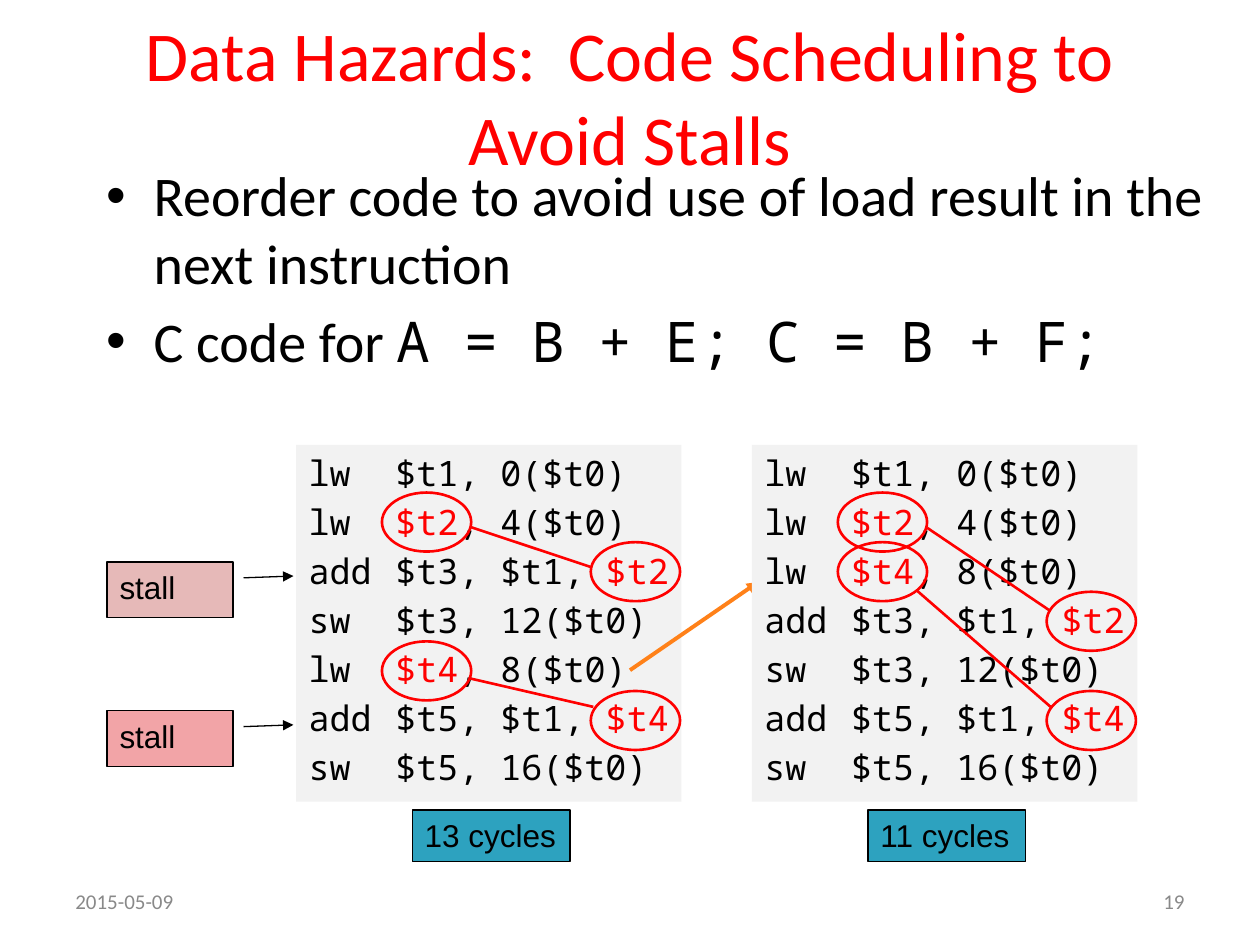
import pptx
import pptx.util
import pptx.dml.color
import pptx.enum.shapes
import pptx.enum.text
import lxml.etree
from dataclasses import dataclass

Cm = pptx.util.Cm
Pt = pptx.util.Pt
SHAPES = pptx.enum.shapes.MSO_SHAPE
ANCHOR = pptx.enum.text.MSO_ANCHOR
ALIGN = pptx.enum.text.PP_ALIGN
DRAWING = "http://schemas.openxmlformats.org/drawingml/2006/main"


@dataclass(frozen=True)
class Theme:
    red: str = "FF0000"
    black: str = "000000"
    grey: str = "898989"
    panel: str = "F2F2F2"
    cycles: str = "2DA2BF"
    orange: str = "FF8119"
    sans: str = "Calibri"
    label: str = "Arial"
    mono: str = "Noto Sans Mono"
    title_size: int = 40
    body_size: int = 32
    code_size: int = 20
    label_size: int = 18
    footer_size: int = 12


theme = Theme()

TITLE = "Data Hazards:  Code Scheduling to Avoid Stalls"
BULLETS = [
    [("Reorder code to avoid use of load result in the next instruction", theme.sans)],
    [("C code for ", theme.sans), ("A = B + E; C = B + F;", theme.mono)],
]
STALLS = [("stall", 2, "E6B9B8"), ("stall", 5, "F2A4A7")]
MOVED_LOAD = ((12.7, 13.51), (15.29, 11.73))
LISTINGS = [
    {
        "code": ["lw\t$t1, 0($t0)", "lw\t*$t2*, 4($t0)", "add\t$t3, $t1, *$t2*",
                 "sw\t$t3, 12($t0)", "lw\t*$t4*, 8($t0)", "add\t$t5, $t1, *$t4*",
                 "sw\t$t5, 16($t0)"],
        "links": [((9.47, 10.62), (11.91, 11.43)), ((9.45, 13.67), (11.96, 14.25))],
        "cycles": "13 cycles",
    },
    {
        "code": ["lw\t$t1, 0($t0)", "lw\t*$t2*, 4($t0)", "lw\t*$t4*, 8($t0)",
                 "add\t$t3, $t1, *$t2*", "sw\t$t3, 12($t0)", "add\t$t5, $t1, *$t4*",
                 "sw\t$t5, 16($t0)"],
        "links": [((18.69, 10.64), (21.18, 12.32)), ((18.49, 11.91), (21.18, 14.25))],
        "cycles": "11 cycles",
    },
]
FOOTERS = [("2015-05-09", 1.27, ALIGN.LEFT), ("19", 18.21, ALIGN.RIGHT)]

PANEL_LEFT, PANEL_TOP, PANEL_WIDTH, PANEL_HEIGHT = 5.97, 8.97, 7.77, 7.19
PANEL_STEP = 9.19
ROW_STEP = 1.0
RING_TOP, RING_WIDTH, RING_HEIGHT = 8.93, 1.8, 1.19
LOADED_X, USED_X = 1.73, 5.94
STALL_LEFT, STALL_TOP = 2.16, 9.33

deck = pptx.Presentation()
deck.slide_width, deck.slide_height = Cm(25.4), Cm(19.05)
slide = deck.slides.add_slide(deck.slide_layouts[6])


def rgb(value):
    return pptx.dml.color.RGBColor.from_string(value)


def child(parent, tag, **attributes):
    return lxml.etree.SubElement(parent, f"{{{DRAWING}}}{tag}", attributes)


def space_before(properties):
    child(child(properties, "spcBef"), "spcPct", val="20000")


def write(paragraph, text, font, size, color):
    run = paragraph.add_run()
    run.text = text
    run.font.name, run.font.size = font, Pt(size)
    run.font.color.rgb = rgb(color)


def text_box(box, anchor):
    frame = slide.shapes.add_textbox(*map(Cm, box)).text_frame
    frame.word_wrap = True
    frame.vertical_anchor = anchor
    return frame


def shape(kind, box, fill=None, line=None, width=0.75):
    item = slide.shapes.add_shape(kind, *map(Cm, box))
    item.shadow.inherit = False
    if fill:
        item.fill.solid()
        item.fill.fore_color.rgb = rgb(fill)
    else:
        item.fill.background()
    if line:
        item.line.color.rgb = rgb(line)
        item.line.width = Pt(width)
    else:
        item.line.fill.background()
    frame = item.text_frame
    frame.word_wrap = True
    frame.margin_right = 0
    frame.vertical_anchor = ANCHOR.TOP
    frame.paragraphs[0].alignment = ALIGN.LEFT
    return item


def arrowhead(item):
    child(item.line._get_or_add_ln(), "tailEnd", type="triangle")


def connect(start, end, color, width):
    line = slide.shapes.add_connector(
        pptx.enum.shapes.MSO_CONNECTOR.STRAIGHT, *map(Cm, start + end))
    line.line.color.rgb = rgb(color)
    line.line.width = Pt(width)
    child(line._element.spPr, "effectLst")
    return line


def label(item, text):
    write(item.text_frame.paragraphs[0], text, theme.label, theme.label_size, theme.black)


def draw_listing(index, listing):
    left = PANEL_LEFT + index * PANEL_STEP
    panel = shape(SHAPES.RECTANGLE, (left, PANEL_TOP, PANEL_WIDTH, PANEL_HEIGHT), theme.panel)
    frame = panel.text_frame
    for row, instruction in enumerate(listing["code"]):
        paragraph = frame.paragraphs[0] if row == 0 else frame.add_paragraph()
        paragraph.alignment = ALIGN.LEFT
        properties = paragraph._p.get_or_add_pPr()
        space_before(properties)
        child(child(properties, "tabLst"), "tab", pos=str(Cm(1.75)), algn="l")
        for part, text in enumerate(instruction.split("*")):
            if text:
                write(paragraph, text, theme.mono, theme.code_size,
                      theme.red if part % 2 else theme.black)
    for row, instruction in enumerate(listing["code"]):
        if "*" in instruction:
            offset = LOADED_X if instruction.startswith("lw") else USED_X
            shape(SHAPES.OVAL,
                  (left + offset, RING_TOP + row * ROW_STEP, RING_WIDTH, RING_HEIGHT),
                  line=theme.red, width=1.5)
    for start, end in listing["links"]:
        connect(start, end, theme.red, 1.5)
    label(shape(SHAPES.RECTANGLE, (left + 2.34, 16.33, 3.18, 1.04),
                theme.cycles, theme.black), listing["cycles"])


title = text_box((1.27, 0.33, 22.86, 3.18), ANCHOR.MIDDLE).paragraphs[0]
title.alignment = ALIGN.CENTER
write(title, TITLE, theme.sans, theme.title_size, theme.red)

body = text_box((1.9, 3.12, 22.99, 5.13), ANCHOR.TOP)
for number, bullet in enumerate(BULLETS):
    point = body.paragraphs[0] if number == 0 else body.add_paragraph()
    properties = point._p.get_or_add_pPr()
    properties.set("marL", str(Cm(0.95)))
    properties.set("indent", str(Cm(-0.95)))
    space_before(properties)
    child(properties, "buFont", typeface=theme.label)
    child(properties, "buChar", char="•")
    for text, font in bullet:
        write(point, text, font, theme.body_size, theme.black)

draw_listing(0, LISTINGS[0])
for text, row, fill in STALLS:
    stall = shape(SHAPES.LINE_CALLOUT_1, (STALL_LEFT, STALL_TOP + row * ROW_STEP, 2.54, 1.12),
                  fill, theme.black)
    for position, value in enumerate((0.285, 1.083, 0.253, 1.479)):
        stall.adjustments[position] = value
    arrowhead(stall)
    label(stall, text)
arrowhead(connect(*MOVED_LOAD, theme.orange, 2.25))
draw_listing(1, LISTINGS[1])

for text, left, alignment in FOOTERS:
    footer = text_box((left, 17.65, 5.92, 1.02), ANCHOR.MIDDLE).paragraphs[0]
    footer.alignment = alignment
    write(footer, text, theme.sans, theme.footer_size, theme.grey)

deck.save("out.pptx")
